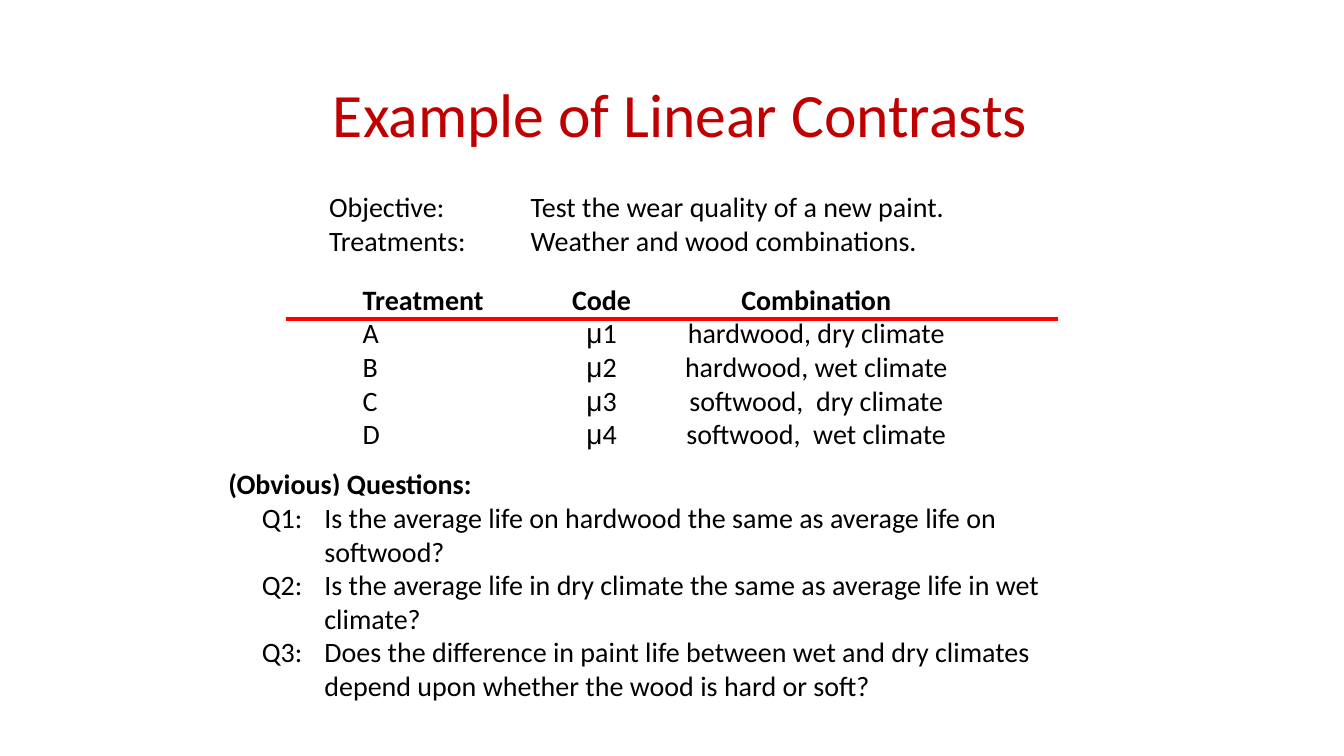
"""Build the slide on linear contrasts for a paint wear experiment."""
from dataclasses import dataclass
from typing import Any

import pptx
import pptx.dml.color
import pptx.enum.shapes
import pptx.enum.text
import pptx.oxml
import pptx.oxml.ns
import pptx.util

BLACK = pptx.dml.color.RGBColor(0x00, 0x00, 0x00)
WHITE = pptx.dml.color.RGBColor(0xFF, 0xFF, 0xFF)
TITLE_RED = pptx.dml.color.RGBColor(0xC0, 0x00, 0x00)
RULE_RED = pptx.dml.color.RGBColor(0xFF, 0x00, 0x00)
MAIN_FONT, GREEK_FONT = "Calibri", "Arial"
MU = "μ"
COLUMNS, ROWS = 160, 90
CELL = pptx.util.Inches(1 / 12)
BODY_LEADING = pptx.util.Pt(24)
ALIGN = pptx.enum.text.PP_ALIGN
AUTO_SIZE = pptx.enum.text.MSO_AUTO_SIZE
ANCHOR = pptx.enum.text.MSO_ANCHOR


@dataclass(frozen=True)
class Tab:
    inches: float
    align: str


@dataclass(frozen=True)
class Block:
    column: float
    row: float
    columns: float
    rows: float
    lines: tuple[str, ...]
    size: int = 20
    color: pptx.dml.color.RGBColor = BLACK
    bold_first: bool = False
    wrap: bool = False
    fit: AUTO_SIZE = AUTO_SIZE.SHAPE_TO_FIT_TEXT
    anchor: ANCHOR = ANCHOR.TOP
    align: ALIGN = ALIGN.LEFT
    leading: float = BODY_LEADING
    tabs: tuple[Tab, ...] = ()
    hanging: float = 0
    filled: bool = False


TREATMENTS = (
    ("A", "hardwood, dry climate"),
    ("B", "hardwood, wet climate"),
    ("C", "softwood,  dry climate"),
    ("D", "softwood,  wet climate"),
)
QUESTIONS = (
    "Is the average life on hardwood the same as average life on softwood?",
    "Is the average life in dry climate the same as average life in wet climate?",
    "Does the difference in paint life between wet and dry climates "
    "depend upon whether the wood is hard or soft?",
)

TITLE = Block(30, 8, 102, 12, ("Example of Linear Contrasts",), size=44,
              color=TITLE_RED, wrap=True, fit=AUTO_SIZE.NONE,
              anchor=ANCHOR.MIDDLE, align=ALIGN.CENTER, leading=0.9)
OBJECTIVE = Block(38, 22, 76.3, 9.2,
                  ("Objective: \tTest the wear quality of a new paint.",
                   "Treatments:\tWeather and wood combinations."),
                  tabs=(Tab(2, "l"),))
TREATMENT_LIST = Block(
    42, 33, 73, 21.2,
    ("Treatment\tCode\tCombination",
     *(f"{name}\t{MU}{number}\t{combination}"
       for number, (name, combination) in enumerate(TREATMENTS, 1))),
    bold_first=True, tabs=(Tab(2.37, "ctr"), Tab(4.5, "ctr")))
QUESTION_HEADING = Block(26, 55, 31.7, 5.3, ("(Obvious) Questions:",), bold_first=True)
QUESTION_LIST = Block(
    30, 59, 97, 25.2,
    tuple(f"Q{number}: \t{question}" for number, question in enumerate(QUESTIONS, 1)),
    wrap=True, hanging=0.62, filled=True)


def cells(count: float) -> int:
    """Return the length of a number of grid cells."""
    return round(count * CELL)


def apply_format(target: Any, values: dict[str, Any]) -> None:
    """Set each named attribute of the target."""
    for name, value in values.items():
        setattr(target, name, value)


def add_runs(paragraph: Any, line: str, block: Block, bold: bool) -> None:
    """Write a line, setting each Greek letter in its own font."""
    before, letter, after = line.partition(MU)
    for text, font in ((before, MAIN_FONT), (letter, GREEK_FONT), (after, MAIN_FONT)):
        if text:
            run = paragraph.add_run()
            run.text = text
            apply_format(run.font, {"name": font, "size": pptx.util.Pt(block.size),
                                    "bold": bold})
            run.font.color.rgb = block.color


def set_indents(paragraph: Any, block: Block) -> None:
    """Add the hanging indent and tab stops of a paragraph."""
    properties = paragraph._p.get_or_add_pPr()
    if block.hanging:
        indent = pptx.util.Inches(block.hanging)
        properties.set("marL", str(indent))
        properties.set("indent", str(-indent))
    if block.tabs:
        tab_list = pptx.oxml.parse_xml(f"<a:tabLst {pptx.oxml.ns.nsdecls('a')}/>")
        for tab in block.tabs:
            stop = tab_list.makeelement(pptx.oxml.ns.qn("a:tab"), {
                "pos": str(pptx.util.Inches(tab.inches)), "algn": tab.align})
            tab_list.append(stop)
        properties.append(tab_list)


def add_block(slide: Any, block: Block) -> None:
    """Draw a block of text."""
    box = tuple(map(cells, (block.column, block.row, block.columns, block.rows)))
    if block.filled:
        shape = slide.shapes.add_shape(pptx.enum.shapes.MSO_SHAPE.RECTANGLE, *box)
        shape.shadow.inherit = False
        shape.fill.solid()
        shape.fill.fore_color.rgb = WHITE
        shape.line.fill.background()
    else:
        shape = slide.shapes.add_textbox(*box)
    frame = shape.text_frame
    apply_format(frame, {"word_wrap": block.wrap, "auto_size": block.fit,
                         "vertical_anchor": block.anchor})
    for index, line in enumerate(block.lines):
        paragraph = frame.add_paragraph() if index else frame.paragraphs[0]
        apply_format(paragraph, {"alignment": block.align, "line_spacing": block.leading})
        set_indents(paragraph, block)
        add_runs(paragraph, line, block, block.bold_first and index == 0)


def add_header_rule(slide: Any) -> None:
    """Draw the red rule under the treatment header."""
    rule = slide.shapes.add_connector(
        pptx.enum.shapes.MSO_CONNECTOR.STRAIGHT, *map(cells, (34, 38, 126, 38)))
    rule.line.color.rgb = RULE_RED
    rule.line.width = pptx.util.Pt(3)
    rule._element.spPr.append(
        pptx.oxml.parse_xml(f"<a:effectLst {pptx.oxml.ns.nsdecls('a')}/>"))


def main() -> None:
    """Build and save the presentation."""
    deck = pptx.Presentation()
    apply_format(deck, {"slide_width": cells(COLUMNS), "slide_height": cells(ROWS)})
    slide = deck.slides.add_slide(deck.slide_layouts[6])
    for block in (TITLE, OBJECTIVE, TREATMENT_LIST):
        add_block(slide, block)
    add_header_rule(slide)
    for block in (QUESTION_HEADING, QUESTION_LIST):
        add_block(slide, block)
    deck.save("out.pptx")


if __name__ == "__main__":
    main()
